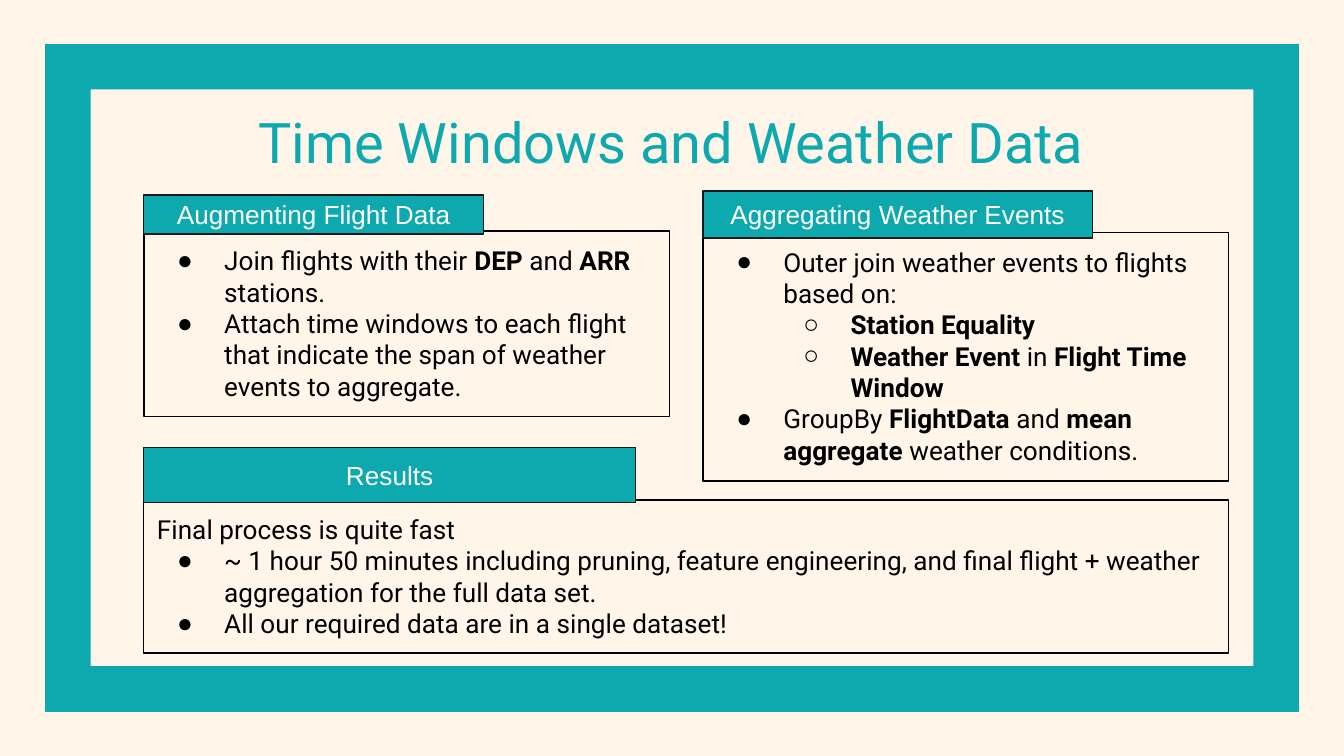
import dataclasses

import pptx
import pptx.dml.color
import pptx.enum.shapes
import pptx.enum.text
import pptx.oxml
import pptx.oxml.ns
import pptx.util

Inches = pptx.util.Inches
Pt = pptx.util.Pt
RGB = pptx.dml.color.RGBColor.from_string
ALIGN = pptx.enum.text.PP_ALIGN
ANCHOR = pptx.enum.text.MSO_ANCHOR
AUTO = pptx.enum.text.MSO_AUTO_SIZE


@dataclasses.dataclass(frozen=True)
class Theme:
    teal: str = "0EA9AF"
    cream: str = "FFF6E9"
    ink: str = "000000"
    tab_line: str = "1A1A1A"
    white: str = "FFFFFF"
    body_font: str = "Roboto"
    tab_font: str = "Arial"
    bullet_font: str = "Arial"
    title_size: int = 30
    text_size: int = 14
    line_width: float = 0.75
    inset: float = 0.1
    indent: float = 0.5
    hanging: float = 0.35


THEME = Theme()
BULLETS = ("●", "○")

PANELS = [
    {
        "box": (1.07, 1.72, 3.91, 1.38),
        "tab": ("Augmenting Flight Data", 2.53, 0.29, 0.02),
        "items": [
            (0, "Join flights with their **DEP** and **ARR **stations."),
            (0, "Attach time windows to each flight that indicate the span of "
                "weather events to aggregate."),
        ],
    },
    {
        "box": (5.23, 1.73, 3.91, 1.85),
        "tab": ("Aggregating Weather Events", 2.9, 0.35, 0.04),
        "items": [
            (0, "Outer join weather events to flights based on:"),
            (1, "**Station Equality**"),
            (1, "**Weather Event **in **Flight Time Window**"),
            (0, "GroupBy **FlightData** and **mean aggregate** weather conditions."),
        ],
    },
    {
        "box": (1.07, 3.72, 8.07, 1.14),
        "tab": ("Results", 3.66, 0.41, 0.02),
        "items": [
            (None, "Final process is quite fast"),
            (0, "~ 1 hour 50 minutes including pruning, feature engineering, and "
                "final flight + weather aggregation for the full data set."),
            (0, "All our required data are in a single dataset!"),
        ],
    },
]


def set_attrs(obj, values):
    for name, value in values.items():
        setattr(obj, name, value)


def add_rect(slide, box, fill=None, line=None):
    sp = slide.shapes.add_shape(
        pptx.enum.shapes.MSO_SHAPE.RECTANGLE, *map(Inches, box))
    sp.shadow.inherit = False
    if fill:
        sp.fill.solid()
        sp.fill.fore_color.rgb = RGB(fill)
    else:
        sp.fill.background()
    if line:
        sp.line.color.rgb = RGB(line)
        sp.line.width = Pt(THEME.line_width)
    else:
        sp.line.fill.background()
    return sp


def format_frame(tf, anchor, auto_size=AUTO.NONE):
    inset = Inches(THEME.inset)
    set_attrs(tf, {
        "word_wrap": True, "auto_size": auto_size, "vertical_anchor": anchor,
        "margin_left": inset, "margin_right": inset,
        "margin_top": inset, "margin_bottom": inset,
    })


def add_runs(p, text, font, size, color, align=ALIGN.LEFT):
    p.alignment = align
    for i, part in enumerate(text.split("**")):
        if part:
            r = p.add_run()
            r.text = part
            set_attrs(r.font, {"name": font, "size": Pt(size), "bold": i % 2 == 1})
            r.font.color.rgb = RGB(color)


def add_bullet(p, level):
    p.level = level
    pPr = p._p.get_or_add_pPr()
    pPr.set("marL", str(Inches(THEME.indent * (level + 1))))
    pPr.set("indent", str(-Inches(THEME.hanging)))
    ns = pptx.oxml.ns.nsdecls("a")
    for xml in (
        f'<a:buClr {ns}><a:srgbClr val="{THEME.ink}"/></a:buClr>',
        f'<a:buFont {ns} typeface="{THEME.bullet_font}"/>',
        f'<a:buChar {ns} char="{BULLETS[level]}"/>',
    ):
        pPr.append(pptx.oxml.parse_xml(xml))


def add_frame(slide, box, trim):
    x, y, w, h = box
    add_rect(slide, box, THEME.teal, THEME.teal)
    inner = (x + trim / 2, y + trim / 2, w - trim, h - trim)
    add_rect(slide, inner, THEME.cream)


def add_title(slide, box, text):
    tf = slide.shapes.add_textbox(*map(Inches, box)).text_frame
    format_frame(tf, ANCHOR.TOP)
    add_runs(tf.paragraphs[0], text, THEME.body_font, THEME.title_size,
             THEME.teal, ALIGN.CENTER)


def add_body(slide, box, items):
    tf = add_rect(slide, box, line=THEME.ink).text_frame
    format_frame(tf, ANCHOR.TOP, AUTO.SHAPE_TO_FIT_TEXT)
    for i, (level, text) in enumerate(items):
        p = tf.add_paragraph() if i else tf.paragraphs[0]
        add_runs(p, text, THEME.body_font, THEME.text_size, THEME.ink)
        if level is not None:
            add_bullet(p, level)


def add_tab(slide, box, tab):
    text, width, height, overlap = tab
    x, y = box[:2]
    sp = add_rect(slide, (x, y + overlap - height, width, height),
                  THEME.teal, THEME.tab_line)
    format_frame(sp.text_frame, ANCHOR.MIDDLE)
    add_runs(sp.text_frame.paragraphs[0], text, THEME.tab_font,
             THEME.text_size, THEME.white, ALIGN.CENTER)


def main():
    prs = pptx.Presentation()
    width = Inches(10)
    set_attrs(prs, {"slide_width": width, "slide_height": width * 9 // 16})
    slide = prs.slides.add_slide(prs.slide_layouts[6])
    slide.background.fill.solid()
    slide.background.fill.fore_color.rgb = RGB(THEME.cream)
    add_frame(slide, (0.34, 0.33, 9.32, 4.96), 0.67)
    add_title(slide, (1.2, 0.7, 7.59, 0.56), "Time Windows and Weather Data")
    for panel in PANELS:
        add_body(slide, panel["box"], panel["items"])
    for panel in PANELS:
        add_tab(slide, panel["box"], panel["tab"])
    prs.save("out.pptx")


if __name__ == "__main__":
    main()
